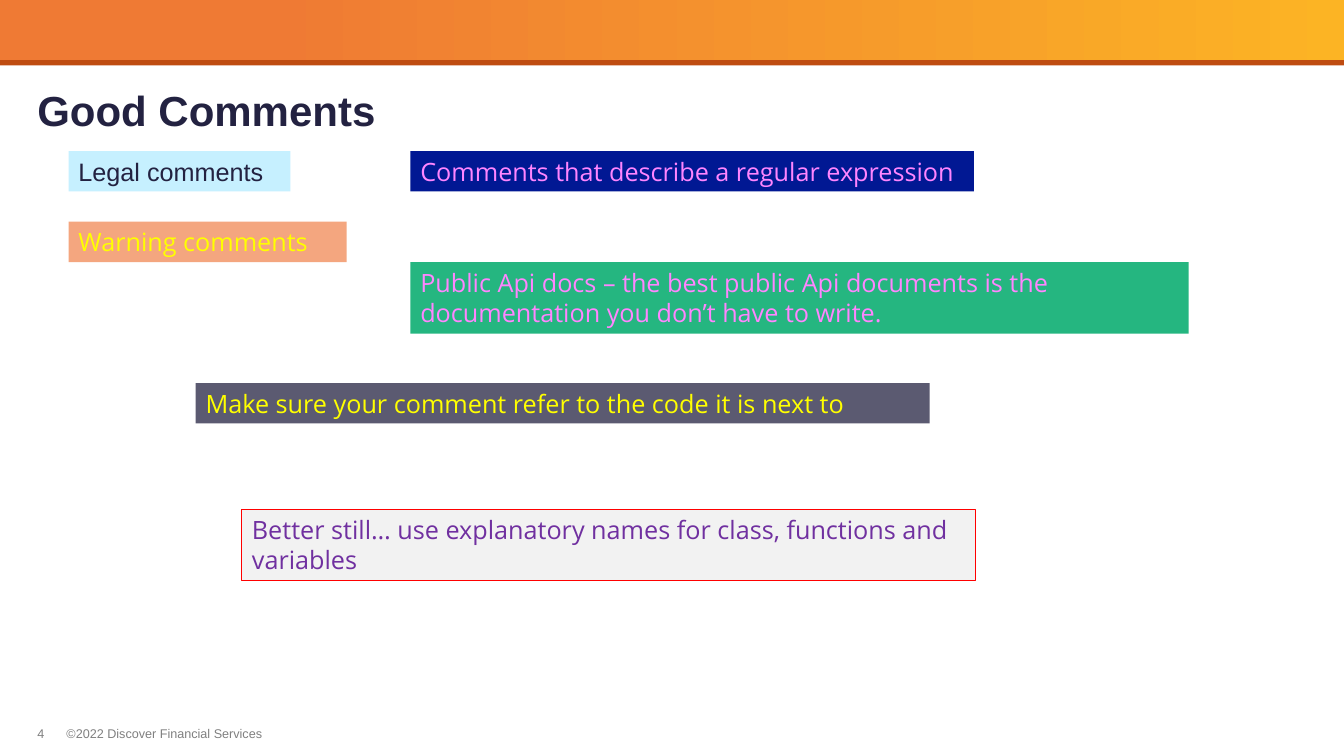
from dataclasses import dataclass

from pptx import Presentation
from pptx import util as u
from pptx.dml import color
from pptx.enum import shapes, text
from pptx.oxml import xmlchemy

COLORS = {
    "rust": "BF4C11", "amber": "FCB424", "orange": "EF7A34", "gray": "808080",
    "ink": "232241", "sky": "C6F0FF", "navy": "011893", "peach": "F4A67F",
    "green": "25B680", "slate": "5B5A71", "mist": "F2F2F2", "pink": "FF85FF",
    "yellow": "FFFF00", "purple": "7030A0", "red": "FF0000",
}
SLIDE_WIDTH = 13.33
LINE_HEIGHT = 0.4
TWO_LINES = 0.71


@dataclass
class Note:
    words: str
    left: float
    top: float
    width: float
    fill: str
    ink: str
    height: float = LINE_HEIGHT
    font: str = "Open Sans"
    border: str | None = None


NOTES = [
    Note("Legal comments", 0.68, 1.5, 2.2, "sky", "ink", font="Arial"),
    Note("Comments that describe a regular expression", 4.07, 1.5, 5.59, "navy", "pink"),
    Note("Warning comments", 0.68, 2.2, 2.76, "peach", "yellow"),
    Note("Public Api docs – the best public Api documents is the documentation "
         "you don’t have to write.", 4.07, 2.6, 7.72, "green", "pink", TWO_LINES),
    Note("Make sure your comment refer to the code it is next to",
         1.94, 3.8, 7.28, "slate", "yellow"),
    Note("Better still… use explanatory names for class, functions and variables",
         2.4, 5.05, 7.28, "mist", "purple", TWO_LINES, border="red"),
]


def rgb(name: str) -> color.RGBColor:
    return color.RGBColor.from_string(COLORS[name])


def set_font(para, size: float, ink: str, font: str = "Arial", bold: bool = False) -> None:
    para.font.name = font
    para.font.size = u.Pt(size)
    para.font.bold = bold
    para.font.color.rgb = rgb(ink)


def clear_margins(frame) -> None:
    frame.margin_left = frame.margin_top = frame.margin_right = frame.margin_bottom = 0


def add_band(page, height: float):
    band = page.shapes.add_shape(shapes.MSO_SHAPE.RECTANGLE, 0, 0,
                                 u.Inches(SLIDE_WIDTH), u.Inches(height))
    band.shadow.inherit = False
    band.line.fill.background()
    return band


def add_header(page) -> None:
    edge = add_band(page, 0.65)
    edge.fill.solid()
    edge.fill.fore_color.rgb = rgb("rust")
    fill = add_band(page, 0.6).fill
    fill.gradient()
    fill.gradient_angle = 180
    for stop, name, position in zip(fill.gradient_stops, ("amber", "orange"), (0, 0.8)):
        stop.color.rgb = rgb(name)
        stop.position = position


def add_title(page, words: str) -> None:
    title = page.shapes.title
    title.left, title.top = u.Inches(0.37), u.Inches(0.65)
    title.width, title.height = u.Inches(12.6), u.Inches(0.85)
    frame = title.text_frame
    clear_margins(frame)
    frame.margin_top = u.Inches(0.1)
    frame.vertical_anchor = text.MSO_ANCHOR.MIDDLE
    frame.text = words
    para = frame.paragraphs[0]
    para.alignment = text.PP_ALIGN.LEFT
    para.line_spacing = 0.85
    set_font(para, 30, "ink", bold=True)


def add_footer(page, words: str, left: float, width: float) -> None:
    box = page.shapes.add_textbox(u.Inches(left), u.Inches(7.2),
                                  u.Inches(width), u.Inches(0.15))
    frame = box.text_frame
    clear_margins(frame)
    frame.word_wrap = False
    frame.text = words
    set_font(frame.paragraphs[0], 9, "gray")


def add_note(page, note: Note) -> None:
    box = page.shapes.add_textbox(u.Inches(note.left), u.Inches(note.top),
                                  u.Inches(note.width), u.Inches(note.height))
    box.fill.solid()
    box.fill.fore_color.rgb = rgb(note.fill)
    if note.border:
        box.line.color.rgb = rgb(note.border)
        box.line.width = u.Pt(0.75)
    frame = box.text_frame
    frame.word_wrap = True
    frame.auto_size = text.MSO_AUTO_SIZE.SHAPE_TO_FIT_TEXT
    frame.text = note.words
    set_font(frame.paragraphs[0], 18, note.ink, note.font)


def main() -> None:
    deck = Presentation()
    deck.slide_width, deck.slide_height = u.Inches(SLIDE_WIDTH), u.Inches(7.5)
    page = deck.slides.add_slide(deck.slide_layouts.get_by_name("Title Only"))
    add_header(page)
    add_footer(page, "©2022 Discover Financial Services", 0.66, 1.96)
    add_footer(page, "4", 0.37, 0.15)
    add_title(page, "Good Comments")
    for note in NOTES:
        add_note(page, note)
    deck.save("out.pptx")


if __name__ == "__main__":
    main()
